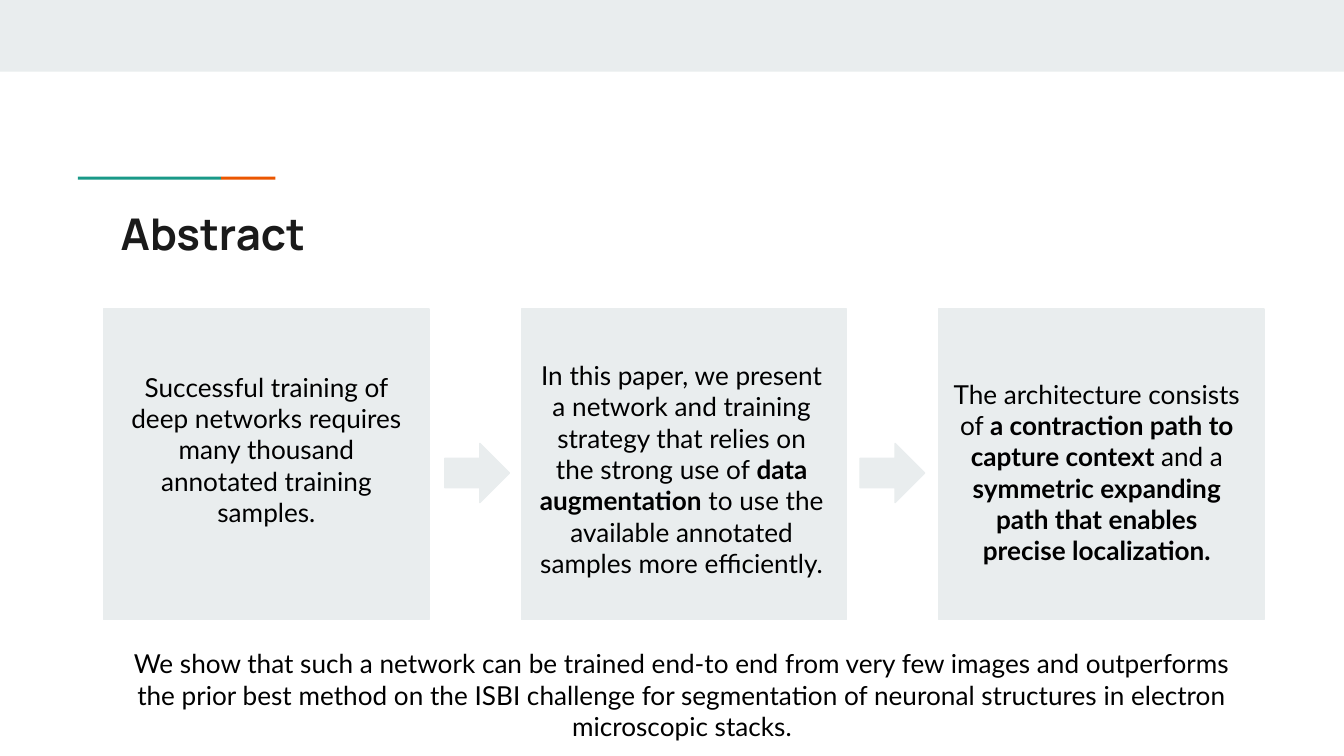
"""Builds the Abstract slide: three linked cards and a closing statement."""
from dataclasses import dataclass

from pptx import Presentation
from pptx.dml.color import RGBColor
from pptx.enum.shapes import MSO_SHAPE
from pptx.enum.text import MSO_ANCHOR, PP_ALIGN
from pptx.util import Inches, Pt

RECT, ARROW = MSO_SHAPE.RECTANGLE, MSO_SHAPE.RIGHT_ARROW
LEFT, CENTER = PP_ALIGN.LEFT, PP_ALIGN.CENTER
TOP = MSO_ANCHOR.TOP
CELL = Inches(0.1)
COLS, ROWS = 100, 56.25


@dataclass(frozen=True)
class Theme:
    """Colours, fonts and type sizes of the deck."""
    panel: str = "E9EDEE"
    teal: str = "1A9988"
    orange: str = "EB5600"
    heading: str = "1A1A1A"
    body: str = "000000"
    heading_font: str = "Manrope"
    body_font: str = "Lato"
    heading_size: float = 23.4
    body_size: float = 14


class Deck:
    """Holds the theme and current slide, placing elements in grid cells."""

    def __init__(self, theme):
        """Open a one-slide presentation on the blank layout."""
        self.theme = theme
        self.prs = Presentation()
        self.prs.slide_width = int(COLS * CELL)
        self.prs.slide_height = int(ROWS * CELL)
        self.s = self.prs.slides.add_slide(self.prs.slide_layouts[6])

    def box(self, *cells):
        """Turn columns and rows into lengths."""
        return [int(c * CELL) for c in cells]

    def shape(self, kind, col, row, width, height, color, outlined=False):
        """Add a filled preset shape."""
        sp = self.s.shapes.add_shape(kind, *self.box(col, row, width, height))
        sp.shadow.inherit = False
        sp.fill.solid()
        sp.fill.fore_color.rgb = RGBColor.from_string(color)
        if outlined:
            sp.line.color.rgb = RGBColor.from_string(color)
            sp.line.width = Pt(0.75)
        else:
            sp.line.fill.background()

    def text(self, col, row, width, height, runs, pad=1, align=CENTER, heading=False):
        """Add a wrapped text box from (text, bold) runs."""
        t = self.theme
        font, size, color = ((t.heading_font, t.heading_size, t.heading) if heading
                             else (t.body_font, t.body_size, t.body))
        sp = self.s.shapes.add_textbox(*self.box(col, row, width, height))
        tf = sp.text_frame
        tf.word_wrap = True
        tf.vertical_anchor = TOP
        tf.margin_left = tf.margin_right = CELL
        tf.margin_top = tf.margin_bottom = int(pad * CELL)
        p = tf.paragraphs[0]
        p.alignment = align
        for content, bold in runs:
            r = p.add_run()
            r.text = content
            r.font.name, r.font.size, r.font.bold = font, Pt(size), bold
            r.font.color.rgb = RGBColor.from_string(color)

    def save(self):
        """Write the presentation."""
        self.prs.save("out.pptx")


CARDS = [
    (8.03, 26.6, 13.8, [
        ("Successful training of deep networks requires many thousand "
         "annotated training samples.", False)]),
    (38.93, 25.73, 18.5, [
        ("In this paper, we present a network and training strategy that "
         "relies on the strong use of ", False),
        ("data augmentation", True),
        (" to use the available annotated samples more efficiently.", False)]),
    (69.82, 27.12, 16.2, [
        ("The architecture consists of ", False),
        ("a contraction path to capture context ", True),
        ("and a ", False),
        ("symmetric expanding path that enables precise localization.", True)]),
]
CLOSING = ("We show that such a network can be trained end-to end from very few "
           "images and outperforms the prior best method on the ISBI challenge for "
           "segmentation of neuronal structures in electron microscopic stacks.")


def main():
    """Compose the slide."""
    theme = Theme()
    deck = Deck(theme)
    deck.shape(RECT, 0, 0, COLS, 5.33, theme.panel)
    deck.shape(RECT, 5.8, 13.15, 10.65, 0.22, theme.teal)
    deck.shape(RECT, 16.45, 13.15, 4.05, 0.22, theme.orange)
    deck.text(8, 14.4, 84.1, 5.9, [("Abstract", True)], align=LEFT, heading=True)

    first, pitch = 7.72, 31.06
    for i, (col, row, height, runs) in enumerate(CARDS):
        deck.shape(RECT, first + i * pitch, 23, 24.2, 23.1, theme.panel, True)
        deck.text(col, row, 23.6, height, runs)
    for i in range(len(CARDS) - 1):
        deck.shape(ARROW, 33.1 + i * 30.9, 33, 4.8, 4.4, theme.panel, True)

    deck.text(7.7, 47.7, 86.1, 8.1, [(CLOSING, False)], pad=0.5)
    deck.save()


if __name__ == "__main__":
    main()
